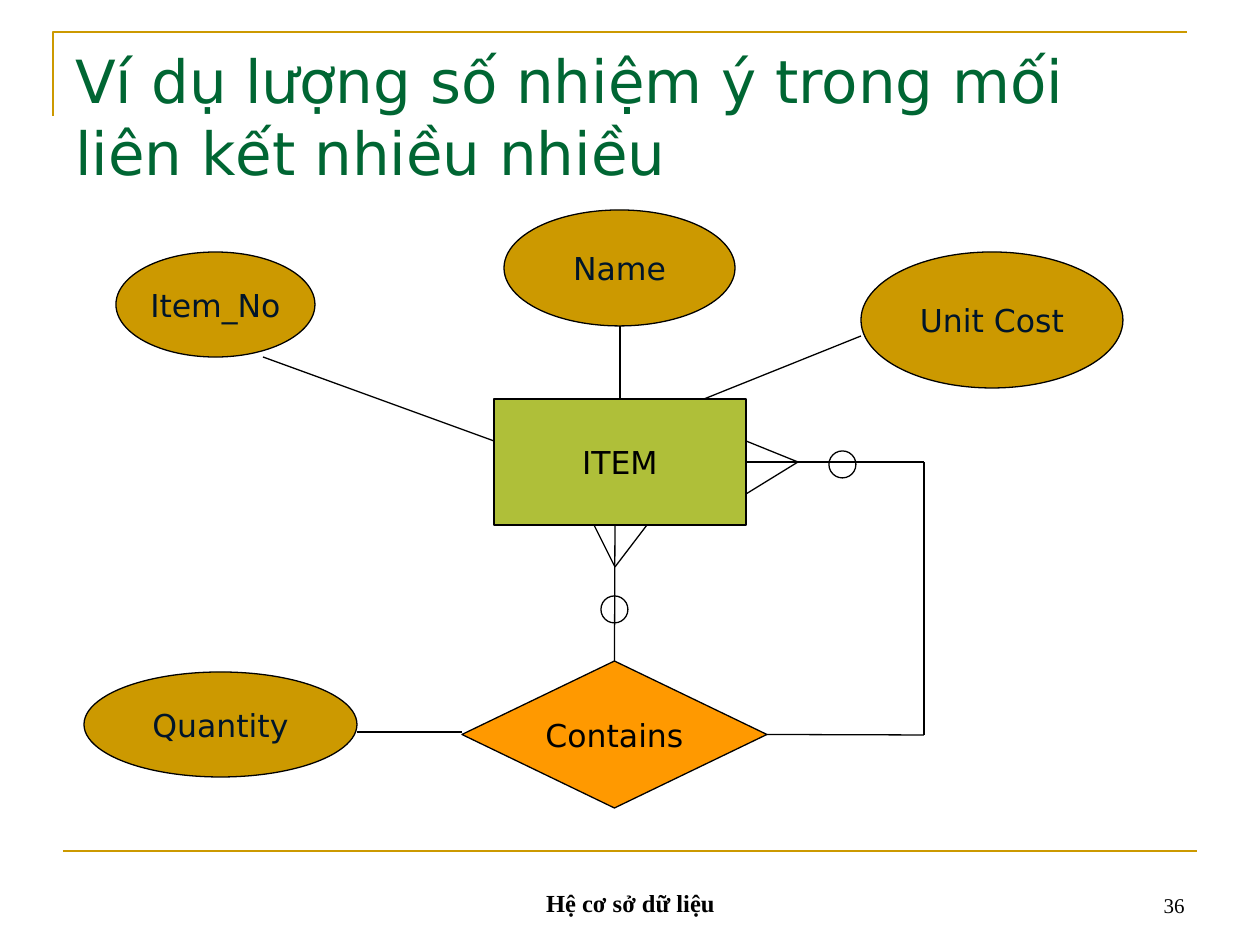
"""Build a slide showing an entity diagram with a many-to-many relation."""
from lxml import etree
from pptx import Presentation
from pptx.dml.color import RGBColor
from pptx.enum.shapes import MSO_CONNECTOR, MSO_SHAPE
from pptx.enum.text import MSO_ANCHOR, PP_ALIGN
from pptx.oxml.ns import qn
from pptx.util import Pt

OVAL, RECT, DIAMOND = MSO_SHAPE.OVAL, MSO_SHAPE.RECTANGLE, MSO_SHAPE.DIAMOND
STRAIGHT = MSO_CONNECTOR.STRAIGHT
LEFT, CENTER, RIGHT = PP_ALIGN.LEFT, PP_ALIGN.CENTER, PP_ALIGN.RIGHT
TOP, MIDDLE, BOTTOM = MSO_ANCHOR.TOP, MSO_ANCHOR.MIDDLE, MSO_ANCHOR.BOTTOM
PX = 914400 // 126
SANS, SERIF = "DejaVu Sans", "Times New Roman"
HUES = {"gold": "CC9900", "green": "006633", "lime": "AFBF39",
        "orange": "FF9900", "navy": "00152A", "black": "000000"}
INK = {name: RGBColor.from_string(code) for name, code in HUES.items()}


def write(shape, text, size=18, font=SANS, hue="black", bold=False,
          align=CENTER, anchor=MIDDLE, wrap=False):
    frame = shape.text_frame
    frame.word_wrap = wrap
    frame.vertical_anchor = anchor
    para = frame.paragraphs[0]
    para.alignment = align
    run = para.add_run()
    run.text = text
    run.font.size, run.font.name, run.font.bold = Pt(size), font, bold
    run.font.color.rgb = INK[hue]


def draw(ends, hue="black", width=0.75):
    line = shapes.add_connector(STRAIGHT, *[v * PX for v in ends])
    line.line.color.rgb = INK[hue]
    line.line.width = Pt(width)
    etree.SubElement(line._element.spPr, qn("a:effectLst"))
    return line


deck = Presentation()
deck.slide_width, deck.slide_height = 1260 * PX, 945 * PX
shapes = deck.slides.add_slide(deck.slide_layouts[6]).shapes

pen = shapes.build_freeform(53, 116, scale=PX)
pen.add_line_segments([(53, 32), (1187, 32)], close=False)
frame = pen.convert_to_shape()
frame.shadow.inherit = False
frame.fill.background()
frame.line.color.rgb = INK["gold"]
frame.line.width = Pt(1.5)
draw((63, 851, 1197, 851), "gold", 1.5)

labels = [
    ((431, 861, 399, 63), "Hệ cơ sở dữ liệu",
     dict(size=14, font=SERIF, bold=True, anchor=BOTTOM)),
    ((903, 861, 294, 63), "36",
     dict(size=12, font=SERIF, align=RIGHT, anchor=BOTTOM)),
    ((63, 38, 1134, 158), "Ví dụ lượng số nhiệm ý trong mối liên kết nhiều nhiều",
     dict(size=34, hue="green", align=LEFT, anchor=TOP)),
]
for box, text, style in labels:
    write(shapes.add_textbox(*[v * PX for v in box]), text, wrap=True, **style)

nodes = {}
for text, kind, box, fill, hue in [
    ("Contains", DIAMOND, (462, 661, 305, 147), "orange", "black"),
    ("Item_No", OVAL, (116, 252, 199, 105), "gold", "navy"),
    ("Name", OVAL, (504, 210, 231, 116), "gold", "navy"),
    ("Unit Cost", OVAL, (861, 252, 262, 136), "gold", "navy"),
    ("Quantity", OVAL, (84, 672, 273, 105), "gold", "navy"),
    ("ITEM", RECT, (494, 399, 252, 126), "lime", "black"),
]:
    node = shapes.add_shape(kind, *[v * PX for v in box])
    node.shadow.inherit = False
    node.fill.solid()
    node.fill.fore_color.rgb = INK[fill]
    node.line.color.rgb = INK["black"]
    node.line.width = Pt(0.75)
    write(node, text, hue=hue)
    nodes[text] = node

item, contains = nodes["ITEM"], nodes["Contains"]
draw((620, 326, 620, 399)).end_connect(item, 0)
draw((615, 525, 615, 661)).end_connect(contains, 0)
draw((746, 462, 924, 462)).begin_connect(item, 3)
draw((767, 735, 924, 735)).begin_connect(contains, 3)
for ends in [
    (263, 357, 494, 441), (861, 336, 704, 399), (462, 732, 357, 732),
    (924, 462, 924, 735),
    (746, 441, 798, 462), (798, 462, 746, 494),
    (594, 525, 615, 567), (615, 567, 647, 525),
]:
    draw(ends)

for left, top in [(601, 596), (829, 451)]:
    ring = shapes.add_shape(OVAL, left * PX, top * PX, 27 * PX, 27 * PX)
    ring.shadow.inherit = False
    ring.fill.background()
    ring.line.color.rgb = INK["black"]
    ring.line.width = Pt(0.75)

deck.save("out.pptx")
